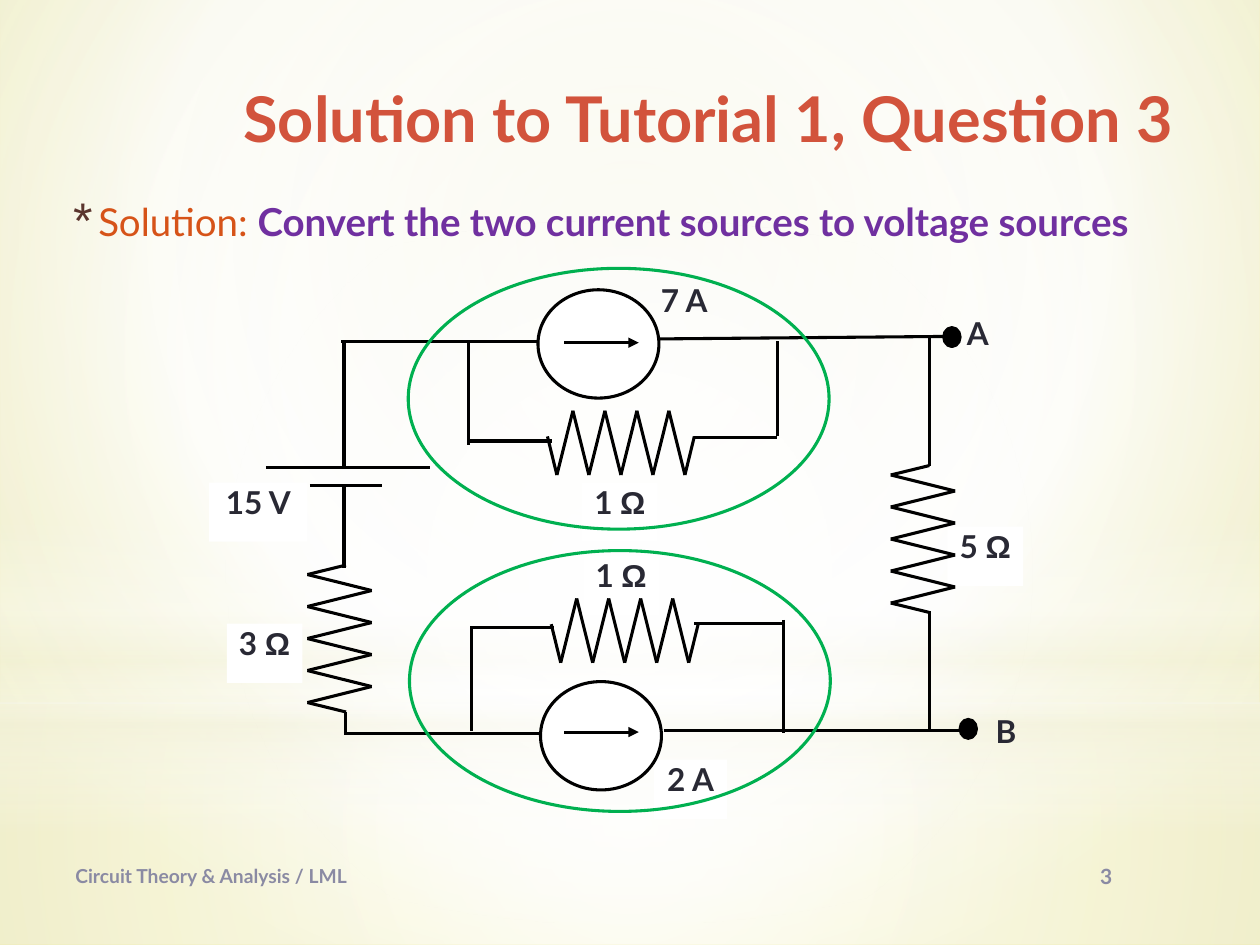
from lxml import etree
from pptx import Presentation
from pptx.dml.color import RGBColor
from pptx.enum.shapes import MSO_CONNECTOR, MSO_SHAPE
from pptx.enum.text import MSO_ANCHOR, MSO_AUTO_SIZE, PP_ALIGN
from pptx.oxml.ns import qn
from pptx.util import Inches, Pt

LEFT, CENTER, RIGHT = PP_ALIGN.LEFT, PP_ALIGN.CENTER, PP_ALIGN.RIGHT
TOP, MIDDLE = MSO_ANCHOR.TOP, MSO_ANCHOR.MIDDLE
NO_FIT = MSO_AUTO_SIZE.NONE
RECTANGLE, OVAL = MSO_SHAPE.RECTANGLE, MSO_SHAPE.OVAL
STRAIGHT = MSO_CONNECTOR.STRAIGHT
COLUMNS, ROWS = 100, 75
TITLE_AND_BODY = 1


def color(hex_text):
    return RGBColor.from_string(hex_text)


def add_xml(parent, tag, **attributes):
    return etree.SubElement(parent, qn(tag), attributes)


def set_gradient(parent, stops, focus=None):
    """Swap the solid fill for a gradient: circular around focus, or top to bottom."""
    solid = parent.find(qn("a:solidFill"))
    gradient = etree.Element(qn("a:gradFill"), rotWithShape="1")
    stop_list = add_xml(gradient, "a:gsLst")
    for position, hex_text, opacity in stops:
        stop = add_xml(stop_list, "a:gs", pos=str(position * 1000))
        tint = add_xml(stop, "a:srgbClr", val=hex_text)
        add_xml(tint, "a:alpha", val=str(opacity * 1000))
    if focus:
        circle = add_xml(gradient, "a:path", path="circle")
        add_xml(circle, "a:fillToRect",
                **{side: str(share * 1000) for side, share in zip("ltrb", focus)})
    else:
        add_xml(gradient, "a:lin", ang="5400000", scaled="0")
    parent.replace(solid, gradient)


def write(frame, *spans, align=LEFT, anchor=TOP, wrap=True, margins=None, **style):
    """Fill a frame's first paragraph; each span is text or (text, style changes)."""
    frame.auto_size, frame.word_wrap, frame.vertical_anchor = NO_FIT, wrap, anchor
    if margins is not None:
        (frame.margin_left, frame.margin_top,
         frame.margin_right, frame.margin_bottom) = map(Inches, margins)
    para = frame.paragraphs[0]
    para.alignment = align
    for item in spans:
        text, changes = (item, {}) if isinstance(item, str) else item
        look = {"font": "Lato", "bold": True, **style, **changes}
        span = para.add_run()
        span.text = text
        span.font.name, span.font.size = look["font"], Pt(look["size"])
        span.font.bold = look["bold"]
        span.font.color.rgb = color(look["fill"])
    return para


class Circuit:
    """Slide style and drawing methods; lengths are columns and rows of the grid."""
    ink, label_ink, footer_ink, highlight = "000000", "292934", "8A8AA3", "00B050"
    width = Pt(1.75)

    def __init__(self, deck):
        self.deck = deck
        self.page = deck.slides.add_slide(deck.slide_layouts[TITLE_AND_BODY])
        self.cell_width = deck.slide_width / COLUMNS
        self.cell_height = deck.slide_height / ROWS

    def place(self, *lengths):
        cells = (self.cell_width, self.cell_height) * 2
        return [round(length * cell) for length, cell in zip(lengths, cells)]

    def backdrop(self, stops, focus):
        self.page.background.fill.solid()
        set_gradient(self.page.element.find(".//" + qn("p:bgPr")), stops, focus)

    def shape(self, kind, *area, fill=None, line=None):
        shape = self.page.shapes.add_shape(kind, *self.place(*area))
        shape.shadow.inherit = False
        if fill:
            shape.fill.solid()
            shape.fill.fore_color.rgb = color(fill)
        else:
            shape.fill.background()
        if line:
            shape.line.color.rgb, shape.line.width = color(line), self.width
        else:
            shape.line.fill.background()
        return shape

    def glow(self, kind, *area, stops, focus=None):
        """Put a translucent gradient on the slide master."""
        shape = self.shape(kind, *area, fill="FFFFFF")
        set_gradient(shape.element.spPr, stops, focus)
        first_placeholder = self.deck.slide_master.placeholders[0].element
        first_placeholder.addprevious(shape.element)

    def placeholder(self, index, *area):
        box = self.page.placeholders[index]
        box.left, box.top, box.width, box.height = self.place(*area)
        return box.text_frame

    def title(self, text):
        write(self.placeholder(0, 11.5, 5.8, 85, 9.2), text, align=RIGHT,
              margins=(0.1, 0.05, 0.34, 0.05), size=36, fill="D2533C")

    def body(self, *spans):
        frame = self.placeholder(1, 4.3, 15.2, 93.4, 4.7)
        properties = frame.paragraphs[0]._p.get_or_add_pPr()
        properties.set("marL", str(Inches(0.25)))
        properties.set("indent", str(Inches(-0.2)))
        add_xml(add_xml(properties, "a:buClr"), "a:srgbClr", val="5B352E")
        add_xml(properties, "a:buSzPct", val="130000")
        add_xml(properties, "a:buChar", char="*")
        para = write(frame, *spans, size=22)
        para.space_before, para.space_after = Pt(0), Pt(3)

    def text(self, area, *spans, **style):
        box = self.page.shapes.add_textbox(*self.place(*area))
        write(box.text_frame, *spans, **style)
        return box

    def label(self, text, left, top, width, height=4.7, fill="FFFFFF"):
        spans = [text]
        if text.endswith("Ω"):
            spans = [text[:-1], ("Ω", {"font": "Arial"})]
        box = self.text((left, top, width, height), *spans, align=CENTER, wrap=False,
                        margins=(0, 0, 0, 0), size=18, fill=self.label_ink)
        if fill:
            box.fill.solid()
            box.fill.fore_color.rgb = color(fill)

    def wire(self, *points, arrow=False):
        """Join the points in turn with straight lines."""
        for start, end in zip(points, points[1:]):
            line = self.page.shapes.add_connector(
                STRAIGHT, *self.place(*start), *self.place(*end))
            line.line.color.rgb, line.line.width = color(self.ink), self.width
            properties = line.element.spPr
            if arrow:
                add_xml(properties.find(qn("a:ln")), "a:tailEnd", type="triangle")
            add_xml(properties, "a:effectLst")

    def resistor(self, start, base, depth, upright=False):
        """Zigzag of eight strokes from base to base + depth, with a lead at each end."""
        step, lead = 1.27, 0.75
        teeth = [(start + step * i, base + depth * (i % 2)) for i in range(9)]
        lead_level = base + 0.6 * depth
        points = [(start - lead, lead_level), *teeth,
                  (start + 8 * step + lead, lead_level)]
        self.wire(*[point[::-1] if upright else point for point in points])

    def current_source(self, left, top, arrow_level):
        self.shape(OVAL, left, top, 9.6, 8.6, fill="FFFFFF", line=self.ink)
        self.wire((44.8, arrow_level), (50.7, arrow_level), arrow=True)


def draw_background(circuit):
    middle = (50, 50, 50, 50)
    circuit.backdrop([(0, "EFEDCC", 100), (60, "FFFFFF", 100), (100, "E9E58A", 100)],
                     (20, 10, 20, 60))
    circuit.glow(RECTANGLE, 0, 55.8, 100, 19.2, focus=middle,
                 stops=[(0, "FFFFFF", 91), (37, "FFFFFF", 76), (100, "F3F2DC", 79)])
    circuit.glow(RECTANGLE, 0, 0, 100, 55.8, focus=middle,
                 stops=[(0, "FFFFFF", 89), (48, "FFFFFF", 62), (100, "F3F2DC", 79)])
    circuit.glow(RECTANGLE, 0, 41.2, 100, 25,
                 stops=[(0, "FFFFFF", 0), (29, "FFFFFF", 30), (45, "F3F2DC", 40),
                        (55, "FFFFFF", 26), (65, "F3F2DC", 60), (100, "FFFFFF", 0)])
    circuit.glow(OVAL, 0, 17.5, 100, 55.8, focus=middle,
                 stops=[(0, "FFFFFF", 100), (56, "FFFFFF", 0)])


def draw_circuit(circuit):
    for text, left, top, width in (
            ("1 Ω", 46.3, 44.1, 6), ("3 Ω", 18, 49.5, 6), ("15 V", 16.6, 38.3, 7.8),
            ("1 Ω", 46.2, 38.3, 6), ("2 A", 51.9, 60.3, 5.8), ("5 Ω", 75.2, 41.8, 6)):
        circuit.label(text, left, top, width)
    circuit.label("7 A", 51.4, 22.3, 5.8, fill=None)
    circuit.label("A", 76.2, 24.9, 2.8, fill=None)
    circuit.label("B", 78.5, 56.5, 2.7, 3, fill=None)

    for points in (
            [(42.6, 27.1), (27.1, 27.1)], [(27.3, 27.1), (27.3, 37.1)],
            [(21.1, 37.1), (34.1, 37.1)], [(24.6, 38.5), (30.3, 38.5)],
            [(27.3, 38.5), (27.3, 45.1)], [(27.4, 56.5), (27.4, 58.3)],
            [(27.3, 58.2), (43.1, 58.2)], [(52.7, 58), (77.2, 58)],
            [(75.5, 26.7), (52.4, 26.9)], [(73.8, 26.6), (73.8, 37)],
            [(73.8, 48.5), (73.8, 58)],
            [(37.2, 27.1), (37.2, 35.3)], [(37.2, 35), (43.8, 35)],
            [(55.1, 34.7), (61.7, 34.7)], [(61.7, 34.6), (61.7, 27.1)],
            [(37.4, 58), (37.4, 49.7)], [(37.4, 49.8), (44, 49.8)],
            [(55.1, 49.5), (62.2, 49.5)], [(62.2, 49.2), (62.2, 58.2)]):
        circuit.wire(*points)

    circuit.current_source(42.7, 23, 27.2)
    circuit.current_source(42.9, 54.1, 58.1)
    circuit.resistor(44.2, 37.7, -5.1)
    circuit.resistor(44.5, 52.6, -5.1)
    circuit.resistor(37.7, 70.7, 5.1, upright=True)
    circuit.resistor(45.6, 24.4, 5.1, upright=True)
    for left, top in ((74.9, 26), (76.2, 57.1)):
        circuit.shape(OVAL, left, top, 1.3, 1.5, fill=circuit.ink, line=circuit.ink)
    for left, top in ((32.4, 21.3), (32.5, 43.7)):
        circuit.shape(OVAL, left, top, 33.4, 20.7, line=circuit.highlight)


def main():
    deck = Presentation()
    deck.slide_width, deck.slide_height = Inches(10), Inches(7.5)
    circuit = Circuit(deck)
    draw_background(circuit)
    circuit.title("Solution to Tutorial 1, Question 3")
    circuit.body(("Solution: ", {"fill": "D65318", "bold": False}),
                 ("Convert the two current sources to voltage sources",
                  {"fill": "7030A0"}))
    draw_circuit(circuit)
    circuit.text((5, 67.5, 36.7, 4), "Circuit Theory & Analysis / LML",
                 anchor=MIDDLE, size=11, fill=circuit.footer_ink)
    circuit.text((77.8, 67.5, 20, 4), "3", align=CENTER, anchor=MIDDLE,
                 size=12, fill=circuit.footer_ink)
    deck.save("out.pptx")


if __name__ == "__main__":
    main()
